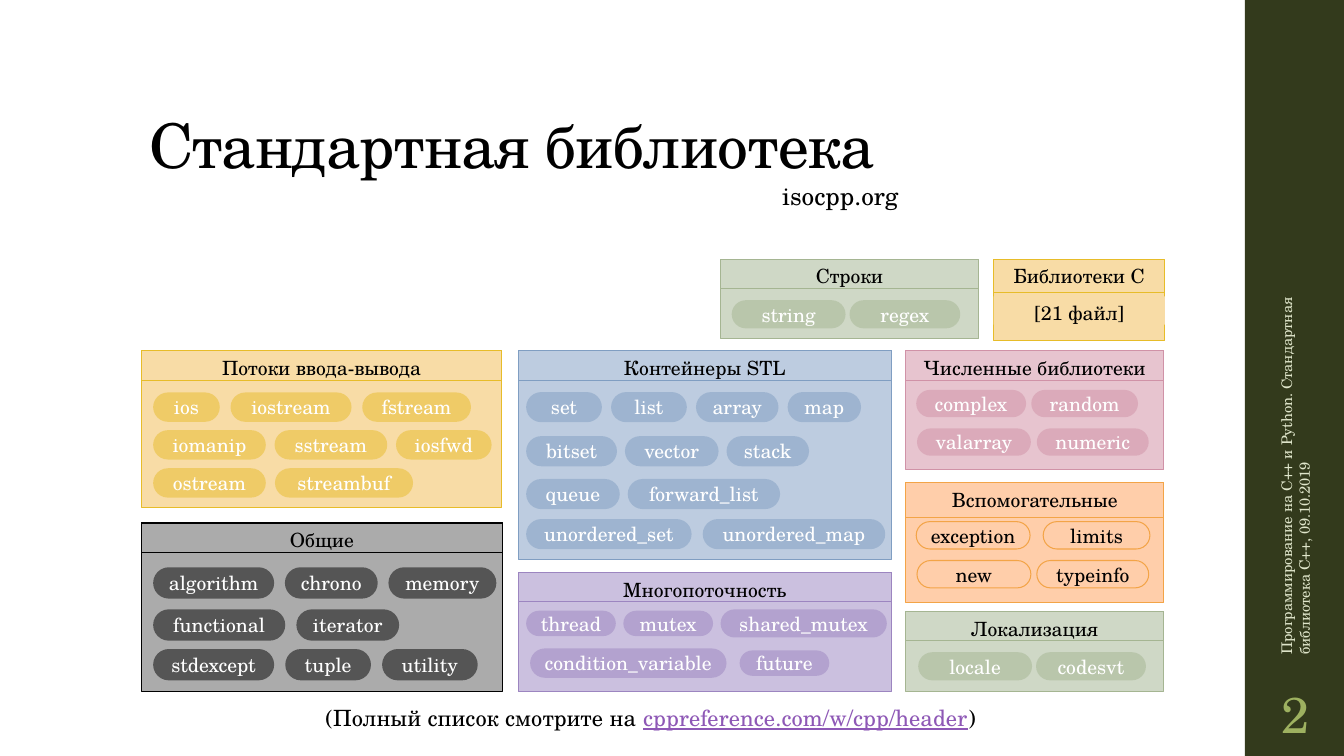
"""Build the slide that maps the headers of the C++ standard library."""
from dataclasses import dataclass
from typing import Optional

from lxml.etree import SubElement
from pptx import Presentation
from pptx.dml.color import RGBColor
from pptx.enum.shapes import MSO_SHAPE as Shape
from pptx.enum.text import MSO_ANCHOR as Anchor, PP_ALIGN as Align
from pptx.oxml.ns import qn
from pptx.util import Cm, Pt

FONT = "TeX Gyre Schola"
BLACK = RGBColor(0x00, 0x00, 0x00)
WHITE = RGBColor(0xFF, 0xFF, 0xFF)
OLIVE = RGBColor(0x33, 0x3A, 0x1C)
PALE_OLIVE = RGBColor(0xDF, 0xE5, 0xCA)
LIME = RGBColor(0x9E, 0xB1, 0x60)
LINK = RGBColor(0x8E, 0x58, 0xB6)
GOLD, PALE_GOLD = RGBColor(0xE7, 0xBC, 0x29), RGBColor(0xF8, 0xDC, 0xA6)
GREY = RGBColor(0xAB, 0xAB, 0xAB)
BLUE, PALE_BLUE = RGBColor(0x80, 0x9E, 0xC2), RGBColor(0xBD, 0xCC, 0xE0)
PURPLE, PALE_PURPLE = RGBColor(0x9C, 0x85, 0xC0), RGBColor(0xCB, 0xC0, 0xDF)
PINK, PALE_PINK = RGBColor(0xD0, 0x92, 0xA7), RGBColor(0xE7, 0xC4, 0xCF)
GREEN, PALE_GREEN = RGBColor(0xA5, 0xB5, 0x92), RGBColor(0xCF, 0xD8, 0xC6)
ORANGE, PALE_ORANGE = RGBColor(0xF3, 0xA4, 0x47), RGBColor(0xFF, 0xCE, 0xAA)


@dataclass(frozen=True)
class Box:
    left: float
    top: float
    width: float
    height: float

    def lengths(self) -> tuple:
        return Cm(self.left), Cm(self.top), Cm(self.width), Cm(self.height)


@dataclass(frozen=True)
class Chip:
    name: str
    width: float
    height: Optional[float] = None


@dataclass(frozen=True)
class Row:
    left: float
    middle: float
    gap: float
    chips: tuple


@dataclass(frozen=True)
class Panel:
    title: str
    box: Box
    colour: RGBColor
    pale: RGBColor
    rows: tuple = ()
    chip_height: float = 0.71
    header_height: float = 0.74
    outlined: bool = False


PANELS = (
    Panel("Контейнеры STL", Box(13.06, 8.84, 9.4, 5.26), BLUE, PALE_BLUE, (
        Row(13.26, 10.26, 0.23, (Chip("set", 1.91), Chip("list", 1.91),
                                 Chip("array", 2.08), Chip("map", 1.85))),
        Row(13.26, 11.37, 0.2, (Chip("bitset", 2.29), Chip("vector", 2.36),
                                Chip("stack", 2.08))),
        Row(13.26, 12.45, 0.2, (Chip("queue", 2.36), Chip("forward_list", 3.84))),
        Row(13.26, 13.46, 0.28, (Chip("unordered_set", 4.17), Chip("unordered_map", 4.6))),
    ), chip_height=0.76),
    Panel("Многопоточность", Box(13.06, 14.43, 9.4, 3), PURPLE, PALE_PURPLE, (
        Row(13.26, 15.71, 0.19, (Chip("thread", 2.26), Chip("mutex", 2.26),
                                 Chip("shared_mutex", 4.19, 0.71))),
        Row(13.36, 16.71, 0.33, (Chip("condition_variable", 4.95, 0.74),
                                 Chip("future", 2.26))),
    ), chip_height=0.64),
    Panel("Численные библиотеки", Box(22.83, 8.84, 6.5, 3), PINK, PALE_PINK, (
        Row(23.09, 10.17, 0.13, (Chip("complex", 2.77), Chip("random", 2.69))),
        Row(23.11, 11.14, 0.15, (Chip("valarray", 2.87), Chip("numeric", 2.82))),
    ), chip_height=0.69),
    Panel("Потоки ввода-вывода", Box(3.56, 8.84, 9.09, 3.94), GOLD, PALE_GOLD, (
        Row(3.86, 10.26, 0.27, (Chip("ios", 1.68), Chip("iostream", 3.05),
                                Chip("fstream", 2.74))),
        Row(3.86, 11.21, 0.22, (Chip("iomanip", 2.84), Chip("sstream", 2.84),
                                Chip("iosfwd", 2.41))),
        Row(3.86, 12.17, 0.23, (Chip("ostream", 2.84), Chip("streambuf", 3.48))),
    ), chip_height=0.74),
    Panel("Строки", Box(18.16, 6.53, 6.5, 2.01), GREEN, PALE_GREEN, (
        Row(18.44, 7.92, 0.1, (Chip("string", 2.87), Chip("regex", 2.79))),
    )),
    Panel("Локализация", Box(22.83, 15.42, 6.5, 2.01), GREEN, PALE_GREEN, (
        Row(23.14, 16.79, 0.1, (Chip("locale", 2.87), Chip("codesvt", 2.77))),
    ), header_height=0.71),
    Panel("Библиотеки C", Box(25.04, 6.53, 4.32, 2.06), GOLD, PALE_GOLD,
          header_height=0.84),
    Panel("Общие", Box(3.57, 13.18, 9.09, 4.24), BLACK, GREY, (
        Row(3.86, 14.69, 0.27, (Chip("algorithm", 3.05), Chip("chrono", 2.34),
                                Chip("memory", 2.72))),
        Row(3.86, 15.75, 0.28, (Chip("functional", 3.33), Chip("iterator", 2.59))),
        Row(3.86, 16.75, 0.28, (Chip("stdexcept", 3.05), Chip("tuple", 2.16),
                                Chip("utility", 2.41))),
    ), chip_height=0.79),
    Panel("Вспомогательные", Box(22.83, 12.17, 6.5, 3.02), ORANGE, PALE_ORANGE, (
        Row(23.09, 13.49, 0.33, (Chip("exception", 2.87), Chip("limits", 2.69))),
        Row(23.11, 14.47, 0.15, (Chip("new", 2.87), Chip("typeinfo", 2.82))),
    ), chip_height=0.69, header_height=0.86, outlined=True),
)


def write(shape, text: str, *, size: float = 14, colour: RGBColor = BLACK,
          align: Align = Align.CENTER, anchor: Anchor = Anchor.TOP, wrap: bool = True,
          underline: bool = False, spacing: int = 0,
          line_spacing: Optional[float] = None) -> None:
    """Append one formatted span to the first paragraph of a shape."""
    frame = shape.text_frame
    frame.word_wrap = wrap
    frame.vertical_anchor = anchor
    para = frame.paragraphs[0]
    para.alignment = align
    if line_spacing:
        para.line_spacing = line_spacing
    span = para.add_run()
    span.text = text
    span.font.name = FONT
    span.font.size = Pt(size)
    span.font.color.rgb = colour
    span.font.underline = underline
    if spacing:
        span.font._element.set("spc", str(spacing))


def draw(page, kind: Shape, box: Box, fill: RGBColor,
         line: Optional[RGBColor] = None, opacity: int = 100):
    """Draw a filled shape with an optional outline."""
    shape = page.shapes.add_shape(kind, *box.lengths())
    shape.shadow.inherit = False
    shape.fill.solid()
    shape.fill.fore_color.rgb = fill
    if opacity < 100:
        colour = shape._element.spPr.find(qn("a:solidFill"))[0]
        SubElement(colour, qn("a:alpha")).set("val", str(opacity * 1000))
    if line is None:
        shape.line.fill.background()
    else:
        shape.line.color.rgb = line
        shape.line.width = Pt(0.75)
    return shape


def draw_row(page, panel: Panel, row: Row) -> None:
    """Draw the chips of a row from left to right."""
    left = row.left
    for chip in row.chips:
        height = chip.height or panel.chip_height
        box = Box(left, row.middle - height / 2, chip.width, height)
        if panel.outlined:
            pill = draw(page, Shape.ROUNDED_RECTANGLE, box, panel.pale, panel.colour)
        else:
            pill = draw(page, Shape.ROUNDED_RECTANGLE, box, panel.colour, opacity=50)
        pill.adjustments[0] = 0.5
        write(pill, chip.name, colour=BLACK if panel.outlined else WHITE,
              anchor=Anchor.MIDDLE, wrap=False)
        left += chip.width + row.gap


def draw_panel(page, panel: Panel) -> None:
    """Draw a panel with its header and rows of chips."""
    box = panel.box
    draw(page, Shape.RECTANGLE, box, panel.pale, panel.colour)
    header = draw(page, Shape.RECTANGLE,
                  Box(box.left, box.top, box.width, panel.header_height),
                  panel.pale, panel.colour)
    write(header, panel.title)
    for row in panel.rows:
        draw_row(page, panel, row)


def add_label(page, box: Box):
    """Add an empty text box."""
    return page.shapes.add_textbox(*box.lengths())


def main() -> None:
    """Build and save the deck."""
    deck = Presentation()
    deck.slide_width, deck.slide_height = Cm(33.87), Cm(19.05)
    page = deck.slides.add_slide(deck.slide_layouts[5])
    draw(page, Shape.RECTANGLE, Box(31.37, 0, 2.5, 19.05), OLIVE)

    title = page.shapes.title
    title.left, title.top, title.width, title.height = Box(3.51, 1.02, 26.92, 3.68).lengths()
    write(title, "Стандартная библиотека", size=44, align=Align.LEFT,
          anchor=Anchor.BOTTOM, spacing=-50, line_spacing=0.9)

    course = add_label(page, Box(27.66, 11.25, 9.96, 1.02))
    course.rotation = 270
    write(course, "Программирование на C++ и Python. Стандартная библиотека C++, 09.10.2019",
          size=10.5, colour=PALE_OLIVE, align=Align.LEFT, anchor=Anchor.MIDDLE)
    write(add_label(page, Box(31.37, 17.15, 2.54, 1.65)), "2", size=36, colour=LIME,
          anchor=Anchor.MIDDLE)
    write(add_label(page, Box(19.46, 4.42, 3.48, 1.02)), "isocpp.org", size=18,
          align=Align.LEFT, wrap=False)

    for panel in PANELS:
        draw_panel(page, panel)
    write(draw(page, Shape.RECTANGLE, Box(25.04, 7.47, 4.32, 0.71), PALE_GOLD), "[21 файл]")

    note = add_label(page, Box(3.43, 17.55, 25.93, 1.09))
    for text, colour in (("(Полный список смотрите на ", BLACK),
                         ("cppreference.com/w/cpp/header", LINK), (")", BLACK)):
        write(note, text, size=16, colour=colour, underline=colour == LINK,
              spacing=10, line_spacing=1.1)
    deck.save("out.pptx")


if __name__ == "__main__":
    main()
